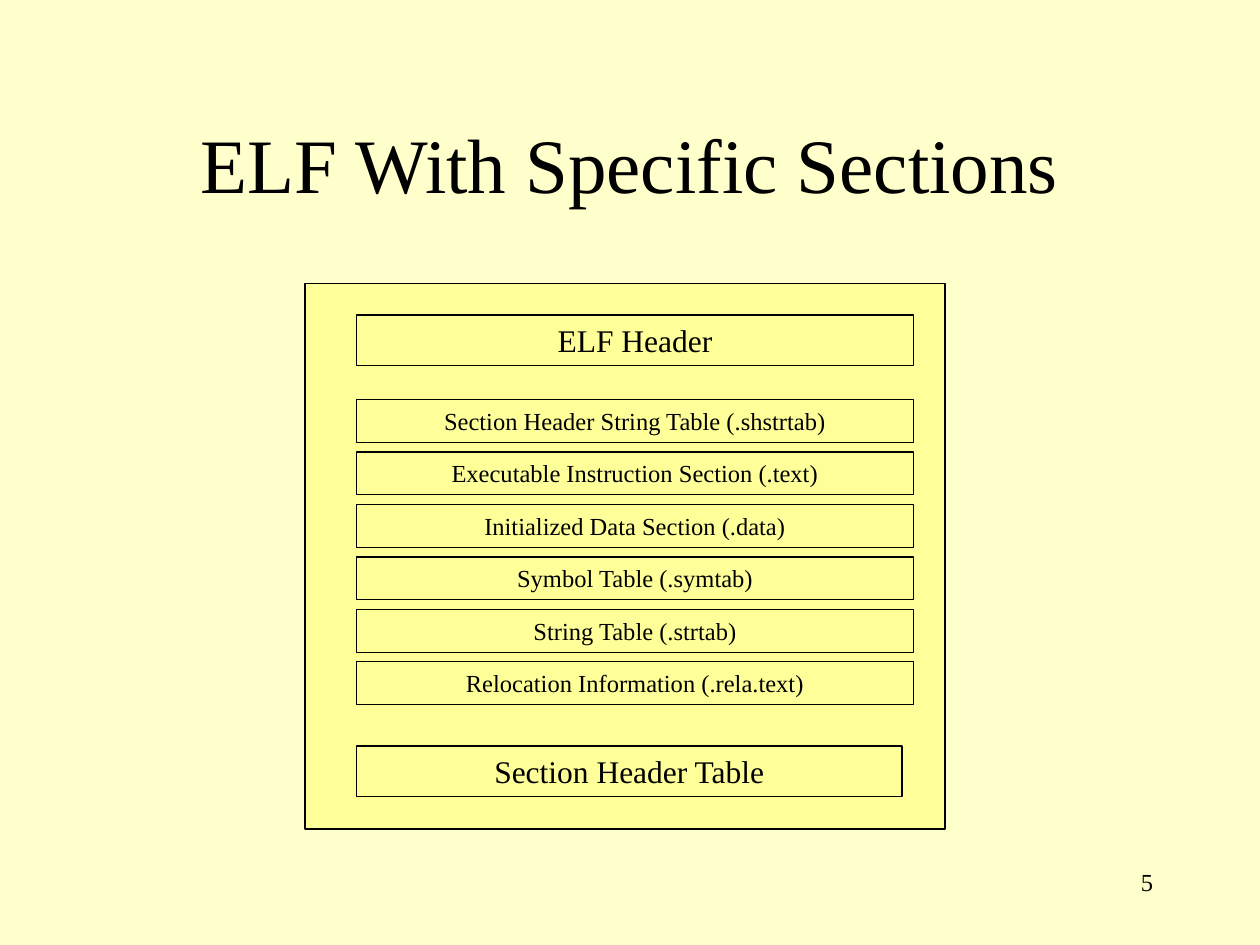
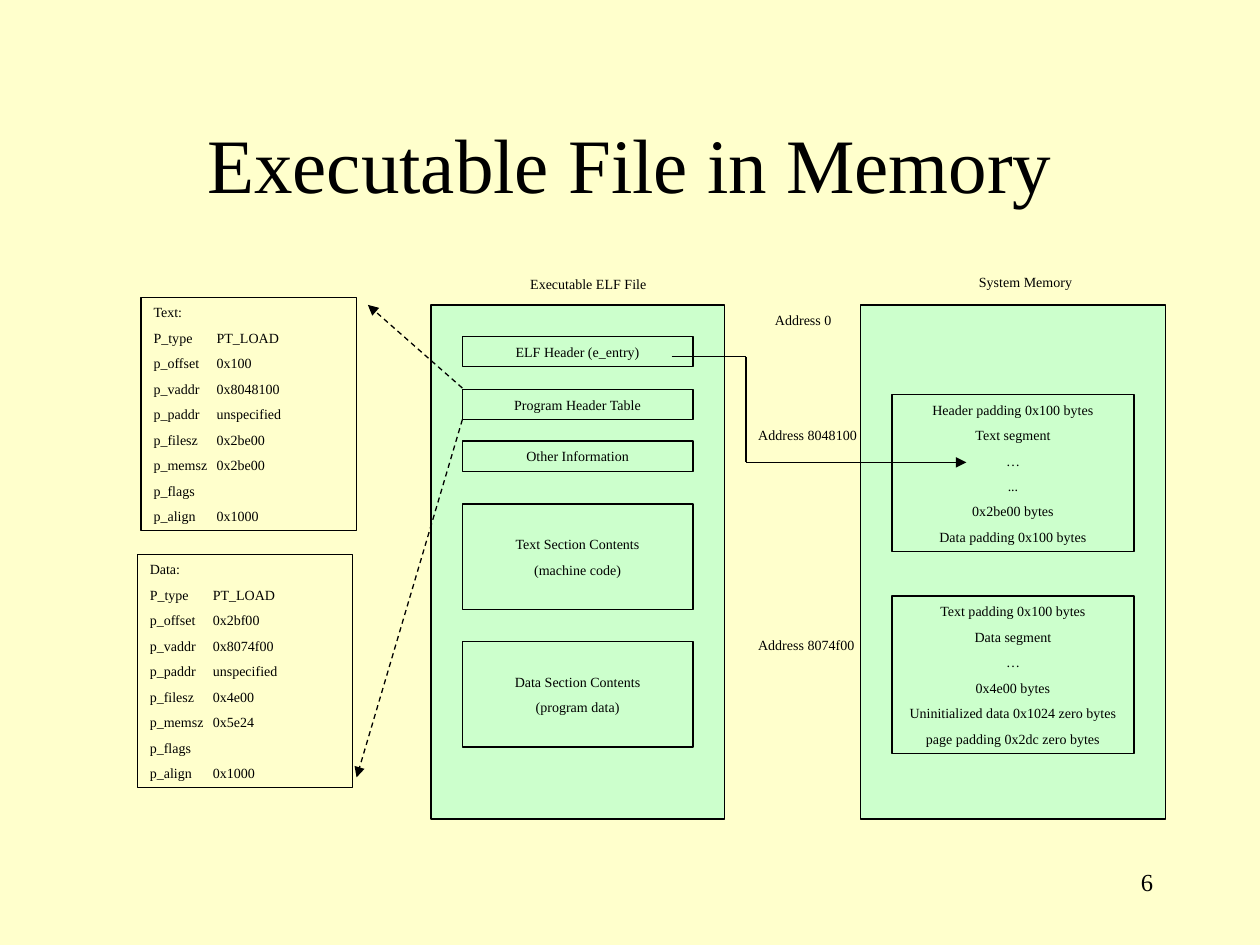
"""Build two slides on the layout of ELF files and their image in memory."""
from lxml import etree
from pptx import Presentation
from pptx import util as u
from pptx.dml.color import RGBColor
from pptx.enum import dml, shapes, text
from pptx.oxml import ns

FONT = "Times New Roman"
COLORS = {"paper": "FFFFCC", "ink": "000000", "file": "FFFF99", "memory": "CCFFCC"}
ALIGN, ANCHOR = text.PP_ALIGN, text.MSO_ANCHOR
FIRST_NUMBER = 5

SECTIONS = [
    "Section Header String Table (.shstrtab)",
    "Executable Instruction Section (.text)",
    "Initialized Data Section (.data)",
    "Symbol Table (.symtab)",
    "String Table (.strtab)",
    "Relocation Information (.rela.text)",
]
FIELDS = ["P_type", "p_offset", "p_vaddr", "p_paddr", "p_filesz", "p_memsz", "p_flags", "p_align"]
PROGRAM_HEADERS = [
    ("Text:", 1.12, 2.36,
     ["PT_LOAD", "0x100", "0x8048100", "unspecified", "0x2be00", "0x2be00", "", "0x1000"]),
    ("Data:", 1.09, 4.4,
     ["PT_LOAD", "0x2bf00", "0x8074f00", "unspecified", "0x4e00", "0x5e24", "", "0x1000"]),
]
FILE_PARTS = [
    (2.67, 0.24, "ELF Header (e_entry)"),
    (3.09, 0.24, "Program Header Table"),
    (3.5, 0.24, "Other Information"),
    (4, 0.84, "Text Section Contents\n(machine code)"),
    (5.09, 0.84, "Data Section Contents\n(program data)"),
]
SEGMENTS = [
    (3.13, "Header padding 0x100 bytes\nText segment\n…\n...\n0x2be00 bytes\n"
           "Data padding 0x100 bytes"),
    (4.73, "Text padding 0x100 bytes\nData segment\n…\n0x4e00 bytes\n"
           "Uninitialized data 0x1024 zero bytes\npage padding 0x2dc zero bytes"),
]
LABELS = [
    (6.05, 2.42, 0.65, "Address 0"),
    (5.92, 3.33, 0.98, "Address 8048100"),
    (5.92, 5, 0.96, "Address 8074f00"),
    (4.11, 2.13, 1.12, "Executable ELF File"),
    (7.67, 2.12, 0.94, "System Memory"),
]


def color(name):
    """Return the named colour."""
    return RGBColor.from_string(COLORS[name])


def inches(*lengths):
    """Convert numbers to lengths in inches."""
    return [u.Inches(length) for length in lengths]


def write(shape, content, size=8, align=ALIGN.CENTER, anchor=ANCHOR.MIDDLE, before=5, wrap=True):
    """Fill a shape with one paragraph for each line of content."""
    frame = shape.text_frame
    frame.auto_size = text.MSO_AUTO_SIZE.NONE
    frame.word_wrap = wrap
    frame.vertical_anchor = anchor
    for index, line in enumerate(content.split("\n")):
        para = frame.add_paragraph() if index else frame.paragraphs[0]
        para.alignment = align
        para.space_before = u.Pt(before)
        span = para.add_run()
        span.text = line
        span.font.name = FONT
        span.font.size = u.Pt(size)
        span.font.color.rgb = color("ink")


def add_box(parent, left, top, width, height, content="", fill=None, **style):
    """Add an outlined rectangle, with a fill and text if given."""
    box = parent.add_shape(shapes.MSO_SHAPE.RECTANGLE, *inches(left, top, width, height))
    box.shadow.inherit = False
    box.line.color.rgb = color("ink")
    box.line.width = u.Pt(0.75)
    if fill:
        box.fill.solid()
        box.fill.fore_color.rgb = color(fill)
    else:
        box.fill.background()
    if content:
        write(box, content, **style)
    return box


def add_label(parent, left, top, width, height, content, **style):
    """Add a plain text box."""
    write(parent.add_textbox(*inches(left, top, width, height)), content, **style)


def add_line(parent, start, end, arrow=False, dashed=False):
    """Add a straight line, with an arrowhead at its end if wanted."""
    line = parent.add_connector(shapes.MSO_CONNECTOR.STRAIGHT, *inches(*start, *end))
    line.line.color.rgb = color("ink")
    line.line.width = u.Pt(0.75)
    if dashed:
        line.line.dash_style = dml.MSO_LINE.DASH
    properties = line._element.spPr
    if arrow:
        outline = properties.find(ns.qn("a:ln"))
        etree.SubElement(outline, ns.qn("a:tailEnd"), type="triangle")
    etree.SubElement(properties, ns.qn("a:effectLst"))


def add_page(deck, title):
    """Add a slide with its title and page number."""
    page = deck.slides.add_slide(deck.slide_layouts[5])
    heading = page.shapes.title
    heading.left, heading.top, heading.width, heading.height = inches(0.75, 0.67, 8.5, 1.25)
    write(heading, title, size=44, before=0)
    number = str(FIRST_NUMBER + len(deck.slides) - 1)
    add_label(page.shapes, 7.17, 6.83, 2.08, 0.5, number, size=14,
              align=ALIGN.RIGHT, anchor=ANCHOR.TOP, before=0)
    return page


def build_sections(deck):
    """Build the slide that lists the sections of an ELF file."""
    diagram = add_page(deck, "ELF With Specific Sections").shapes.add_group_shape().shapes
    add_box(diagram, 2.42, 2.25, 5.08, 4.33, fill="file")
    large = {"size": 18, "before": 11.2, "anchor": ANCHOR.TOP}
    add_box(diagram, 2.83, 2.5, 4.42, 0.4, "ELF Header", **large)
    for row, section in enumerate(SECTIONS):
        add_box(diagram, 2.83, 3.17 + row * 5 / 12, 4.42, 0.34, section,
                size=14, before=8.8, anchor=ANCHOR.TOP)
    add_box(diagram, 2.83, 5.92, 4.33, 0.4, "Section Header Table", **large)


def build_memory(deck):
    """Build the slide that maps an executable file to memory."""
    parent = add_page(deck, "Executable File in Memory").shapes
    for left, width in [(6.83, 2.42), (3.42, 2.33)]:
        add_box(parent, left, 2.42, width, 4.08, fill="memory")
    for top, height, content in FILE_PARTS:
        add_box(parent, 3.67, top, 1.83, height, content)
    for name, left, top, values in PROGRAM_HEADERS:
        rows = [f"{field}\t{value}" if value else field for field, value in zip(FIELDS, values)]
        add_box(parent, left, top, 1.71, 1.85, "\n".join([name, *rows]),
                align=ALIGN.LEFT, wrap=False)
    for top, content in SEGMENTS:
        add_box(parent, 7.08, top, 1.92, 1.25, content)
    for left, top, width, content in LABELS:
        add_label(parent, left, top, width, 0.24, content, wrap=False)
    entry_route = [(5.33, 2.83), (5.92, 2.83), (5.92, 3.67), (7.67, 3.67)]
    for start, end in zip(entry_route, entry_route[1:]):
        add_line(parent, start, end, arrow=end == entry_route[-1])
    add_line(parent, (3.67, 3.08), (2.92, 2.42), arrow=True, dashed=True)
    add_line(parent, (3.67, 3.33), (2.83, 6.17), arrow=True, dashed=True)


def main():
    """Build and save the deck."""
    deck = Presentation()
    deck.slide_width, deck.slide_height = inches(10, 7.5)
    paper = deck.slide_master.background.fill
    paper.solid()
    paper.fore_color.rgb = color("paper")
    build_sections(deck)
    build_memory(deck)
    deck.save("out.pptx")


if __name__ == "__main__":
    main()
